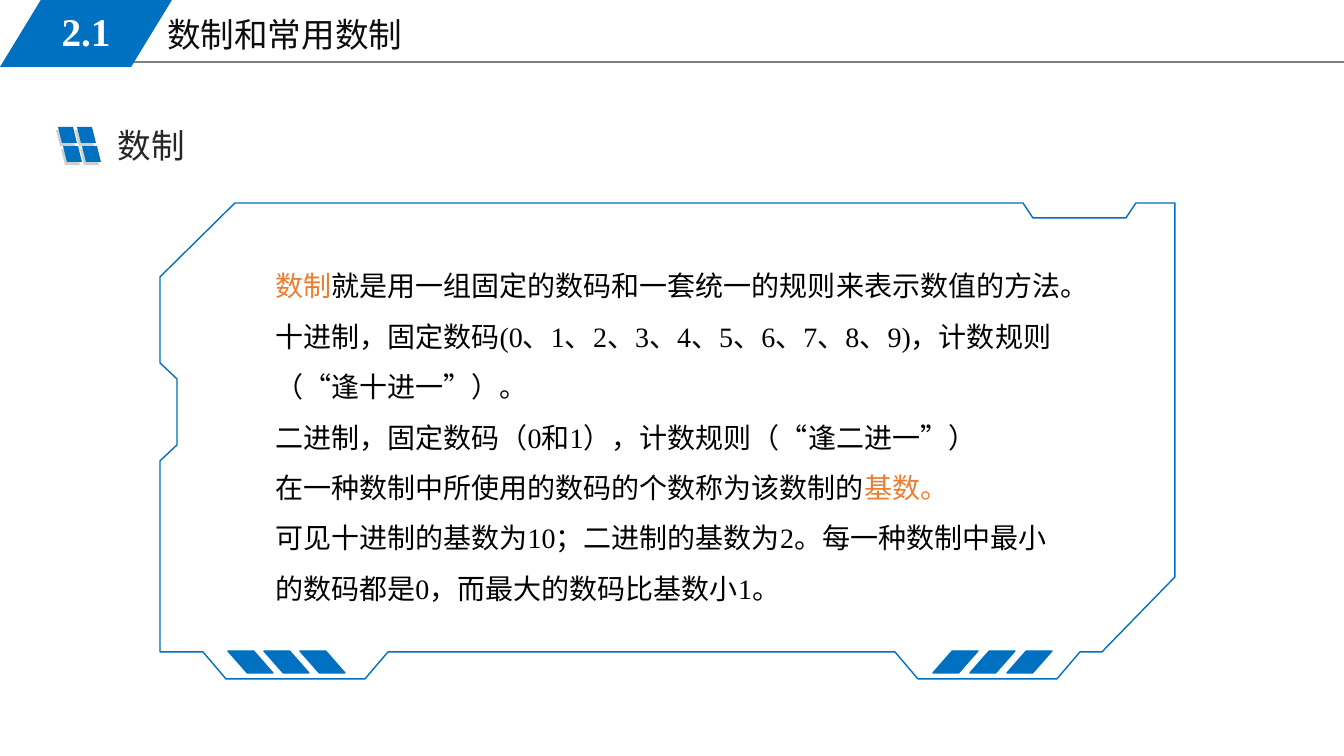
from pptx import Presentation
from pptx.dml.color import RGBColor
from pptx.enum.shapes import MSO_CONNECTOR, MSO_SHAPE
from pptx.enum.text import MSO_ANCHOR, MSO_AUTO_SIZE, PP_ALIGN
from pptx.oxml.ns import qn
from pptx.util import Pt
from lxml.etree import SubElement

PX = 914400 / 100.8
BLUE, ORANGE, BLACK = "0070C0", "ED7D31", "000000"
SANS, SERIF = "Noto Sans CJK SC", "Times New Roman"


def px(*lengths):
    return [round(length * PX) for length in lengths]


def color(value):
    return RGBColor.from_string(value)


presentation = Presentation()
presentation.slide_width, presentation.slide_height = px(1344, 756)
slide = presentation.slides.add_slide(presentation.slide_layouts[1])
shapes = slide.shapes

# Header line
line = shapes.add_connector(MSO_CONNECTOR.STRAIGHT, *px(114, 62, 1344, 62))
line.line.color.rgb = color("808080")
line.line.width = Pt(0.75)
SubElement(line.element.spPr, qn("a:effectLst"))

# Parallelograms: left, top, width, height, slant, mirrored, fill, outlined
parallelograms = [(0, 0, 172, 67, 0.61, False, BLUE, False)]
for fill, icon_left, icon_top in (("D0CECE", 56, 130), (BLUE, 58, 127)):
    for row in range(2):
        for column in range(2):
            parallelograms.append((icon_left + 19 * column + 5 * row, icon_top + 19 * row,
                                   19, 16, 0.25, True, fill, False))
for stripes_left, step, mirrored in ((933, 37, False), (228, 36, True)):
    for index in range(3):
        parallelograms.append((stripes_left + step * index, 651, 45, 22, 0.88, mirrored, BLUE, True))

for left, top, width, height, slant, mirrored, fill, outlined in parallelograms:
    shape = shapes.add_shape(MSO_SHAPE.PARALLELOGRAM, *px(left, top, width, height))
    shape.adjustments[0] = slant
    shape.shadow.inherit = False
    shape.fill.solid()
    shape.fill.fore_color.rgb = color(fill)
    if outlined:
        shape.line.color.rgb = color(BLUE)
        shape.line.width = Pt(1)
    else:
        shape.line.fill.background()
    if mirrored:
        shape.element.spPr.find(qn("a:xfrm")).set("flipH", "1")

# Frame around the text
frame_points = [
    (918, 679), (1057, 679), (1080, 652), (1102, 652), (1175, 577), (1175, 203),
    (1136, 203), (1126, 218), (1033, 218), (1023, 203), (235, 203), (160, 277),
    (160, 363), (177, 379), (177, 445), (160, 461), (160, 652), (203, 652),
    (226, 679), (365, 679), (388, 652), (895, 652)]
builder = shapes.build_freeform(*frame_points[0], scale=PX)
builder.add_line_segments(frame_points[1:], close=True)
frame = builder.convert_to_shape()
frame.shadow.inherit = False
frame.fill.background()
frame.line.color.rgb = color(BLUE)
frame.line.width = Pt(1)

# Title, section number and heading
number = shapes.add_textbox(*px(25, 2, 122, 58))
heading = shapes.add_textbox(*px(108, 120, 166, 50))
title = shapes.title
title.left, title.top, title.width, title.height = px(157, 9, 572, 50)
labels = [
    (title, "数制和常用数制", 24, SERIF, "0D0D0D", PP_ALIGN.LEFT, MSO_ANCHOR.TOP),
    (number, "2.1", 28, SERIF, "FFFFFF", PP_ALIGN.CENTER, MSO_ANCHOR.MIDDLE),
    (heading, "数制", 24, SANS, "262626", PP_ALIGN.LEFT, MSO_ANCHOR.TOP)]
for box, text, size, font_name, text_color, alignment, anchor in labels:
    frame_text = box.text_frame
    frame_text.word_wrap = True
    frame_text.auto_size = MSO_AUTO_SIZE.NONE
    frame_text.vertical_anchor = anchor
    paragraph = frame_text.paragraphs[0]
    paragraph.text = text
    paragraph.alignment = alignment
    paragraph.font.size = Pt(size)
    paragraph.font.name = font_name
    paragraph.font.bold = box is number
    paragraph.font.color.rgb = color(text_color)

# Explanation: runs of text, font and colour
explanation = [
    [("数制", SANS, ORANGE),
     ("就是用一组固定的数码和一套统一的规则来表示数值的方法。", SANS, BLACK)],
    [("十进制，固定数码", SANS, BLACK), ("(0、1、2、3、4、5、6、7、8、9)，", SERIF, BLACK),
     ("计数规则（“逢十进一”）。", SANS, BLACK)],
    [("二进制，固定数码（", SANS, BLACK), ("0", SERIF, BLACK), ("和", SANS, BLACK),
     ("1", SERIF, BLACK), ("），计数规则（“逢二进一”）", SANS, BLACK)],
    [("在一种数制中所使用的数码的个数称为该数制的", SANS, BLACK), ("基数。", SANS, ORANGE)],
    [("可见十进制的基数为", SANS, BLACK), ("10", SERIF, BLACK),
     ("；二进制的基数为", SANS, BLACK), ("2", SERIF, BLACK),
     ("。每一种数制中最小的数码都是", SANS, BLACK), ("0", SERIF, BLACK),
     ("，而最大的数码比基数小", SANS, BLACK), ("1。", SERIF, BLACK)]]
body = slide.placeholders[1]
body.left, body.top, body.width, body.height = px(265, 247, 813, 361)
body_text = body.text_frame
body_text.word_wrap = True
body_text.auto_size = MSO_AUTO_SIZE.NONE
for index, runs in enumerate(explanation):
    paragraph = body_text.add_paragraph() if index else body_text.paragraphs[0]
    properties = paragraph._p.get_or_add_pPr()
    properties.set("marL", "0")
    properties.set("indent", "0")
    SubElement(properties, qn("a:buNone"))
    paragraph.line_spacing = 1.5
    paragraph.space_before = Pt(0)
    paragraph.font.size = Pt(20)
    for text, font_name, text_color in runs:
        run = paragraph.add_run()
        run.text = text
        run.font.name = font_name
        run.font.color.rgb = color(text_color)
        SubElement(run.font._element if hasattr(run.font, "_element") else run._r.rPr,
                   qn("a:ea"), typeface=SANS)

presentation.save("out.pptx")
